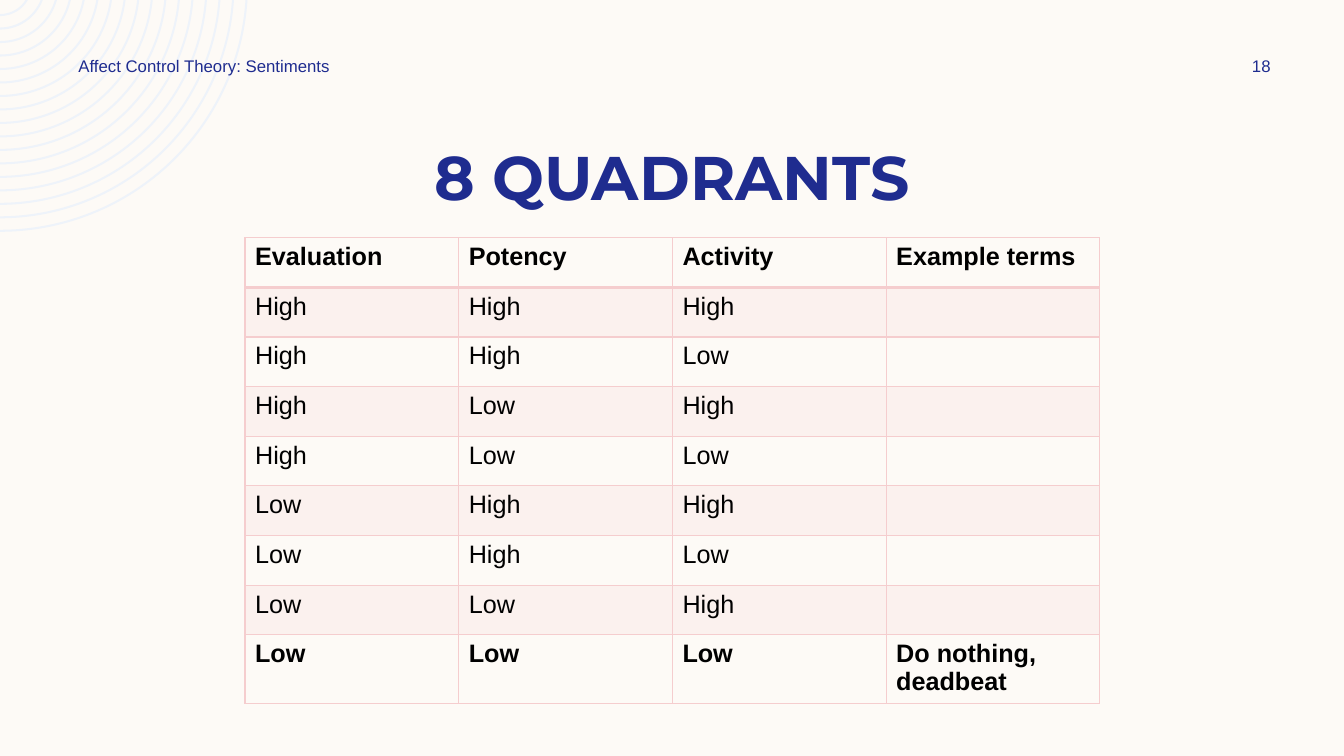
import math
from itertools import product

from lxml import etree
from pptx import Presentation
from pptx.dml.color import RGBColor
from pptx.enum.text import MSO_ANCHOR, PP_ALIGN
from pptx.oxml.ns import qn
from pptx.util import Inches, Pt

CREAM = RGBColor(0xFD, 0xFA, 0xF6)
PALE_BLUE = RGBColor(0xEE, 0xF3, 0xFA)
NAVY = RGBColor(0x1F, 0x2C, 0x8F)
PINK = RGBColor(0xF5, 0xCD, 0xCE)
BLACK = RGBColor(0, 0, 0)
LEFT, CENTER = PP_ALIGN.LEFT, PP_ALIGN.CENTER
TOP, MIDDLE = MSO_ANCHOR.TOP, MSO_ANCHOR.MIDDLE


def add_text(slide, text, box, font, size, bold, align, anchor):
    tf = slide.shapes.add_textbox(*map(Inches, box)).text_frame
    tf.word_wrap = True
    tf.vertical_anchor = anchor
    tf.text = text
    p = tf.paragraphs[0]
    p.alignment = align
    p.font.name = font
    p.font.size = Pt(size)
    p.font.bold = bold
    p.font.color.rgb = NAVY


def set_border(cell, side, width):
    ln = etree.SubElement(cell._tc.get_or_add_tcPr(), qn("a:ln" + side), w=str(Pt(width)))
    fill = etree.SubElement(ln, qn("a:solidFill"))
    etree.SubElement(fill, qn("a:srgbClr"), val=str(PINK))


prs = Presentation()
prs.slide_width, prs.slide_height = Inches(13.33), Inches(7.5)
s = prs.slides.add_slide(prs.slide_layouts[6])
s.background.fill.solid()
s.background.fill.fore_color.rgb = CREAM

# Concentric rings around a centre just above the top left corner
RINGS, RING_STEP, RING_WIDTH = 17, 0.13, 0.02
OUTER_RADIUS, CENTER_Y = 2.46, -0.16
INNERMOST_RADIUS = 0.32
RING_STEP = (OUTER_RADIUS - INNERMOST_RADIUS) / (RINGS - 1)
builder = None
arcs = []
for i in range(RINGS):
    outer = OUTER_RADIUS - i * RING_STEP
    inner = outer - RING_WIDTH
    outer_x, inner_x = (math.sqrt(r ** 2 - CENTER_Y ** 2) for r in (outer, inner))
    corners = [(Inches(x), Inches(y)) for x, y in (
        (outer_x, 0), (0, CENTER_Y + outer), (0, CENTER_Y + inner), (inner_x, 0))]
    if builder is None:
        builder = s.shapes.build_freeform(*corners[0])
    else:
        builder.move_to(*corners[0])
    builder.add_line_segments(corners[1:], close=True)
    outer_start, inner_start = (math.degrees(math.asin(-CENTER_Y / r)) for r in (outer, inner))
    arcs += [(outer, outer_start, 90 - outer_start), None, (inner, 90, inner_start - 90)]
rings = builder.convert_to_shape()
rings.shadow.inherit = False
rings.fill.solid()
rings.fill.fore_color.rgb = PALE_BLUE
rings.line.fill.background()

# Bend the long sides of each ring into arcs
for line, arc in zip(list(rings._element.iter(qn("a:lnTo"))), arcs):
    if arc:
        radius, start, sweep = arc
        size = str(Inches(radius))
        bend = etree.Element(qn("a:arcTo"), wR=size, hR=size,
                             stAng=str(round(start * 60000)), swAng=str(round(sweep * 60000)))
        line.getparent().replace(line, bend)

add_text(s, "8 QUADRANTS", (0.83, 1.33, 11.67, 0.84), "Montserrat", 44, True, CENTER, TOP)

# Every combination of high and low on the three dimensions
rows = [("Evaluation", "Potency", "Activity", "Example terms")]
rows += [levels + ("",) for levels in product(("High", "Low"), repeat=3)]
rows[-1] = rows[-1][:3] + ("Do nothing,\ndeadbeat",)
last = len(rows) - 1

TABLE_HEIGHT, LAST_HEIGHT = 4.6, 0.66
table = s.shapes.add_table(len(rows), 4, Inches(2.43), Inches(2.36),
                           Inches(8.48), Inches(TABLE_HEIGHT)).table
table.first_row = False
table.horz_banding = False
for column in table.columns:
    column.width = Inches(2.12)
for i, row in enumerate(rows):
    table.rows[i].height = Inches(LAST_HEIGHT if i == last else (TABLE_HEIGHT - LAST_HEIGHT) / last)
    for j, text in enumerate(row):
        cell = table.cell(i, j)
        cell.margin_bottom = Inches(0.03)
        cell.text = text
        for p in cell.text_frame.paragraphs:
            p.font.name = "Arial"
            p.font.size = Pt(18)
            p.font.bold = i in (0, last)
            p.font.color.rgb = BLACK
        for side in "LRTB":
            set_border(cell, side, 2 if i == 0 and side == "B" else 1)
        if i % 2:
            cell.fill.solid()
            cell.fill.fore_color.rgb = PINK
            color = cell._tc.tcPr.find(qn("a:solidFill")).find(qn("a:srgbClr"))
            etree.SubElement(color, qn("a:alpha"), val="20000")
        else:
            cell.fill.background()

add_text(s, "Affect Control Theory: Sentiments", (0.68, 0.5, 3.5, 0.3), "Arial", 12, False, LEFT, MIDDLE)
add_text(s, "18", (11.97, 0.5, 1.08, 0.3), "Arial", 12, False, CENTER, MIDDLE)

prs.save("out.pptx")
